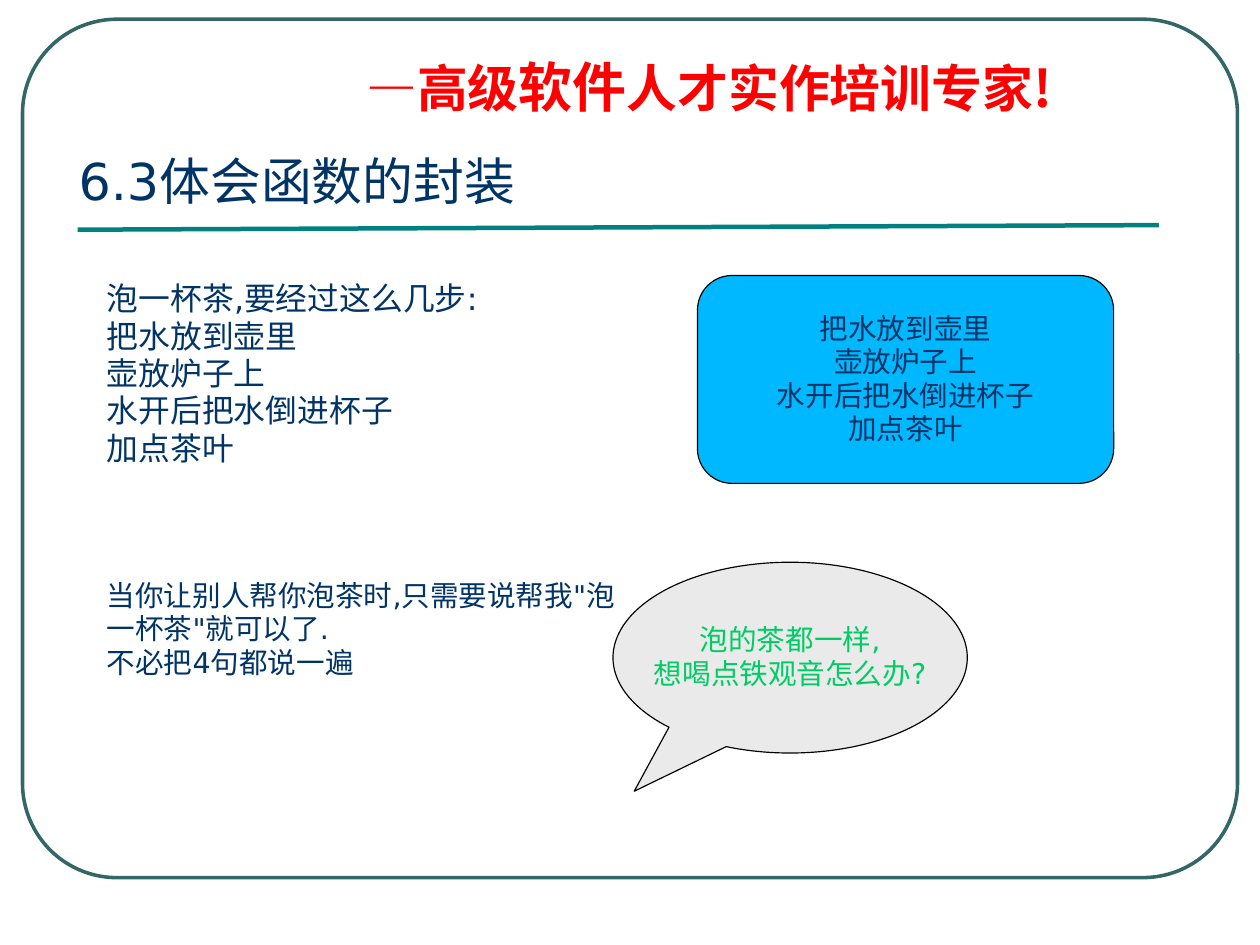
import pptx
import pptx.util
import pptx.dml.color
import pptx.enum.shapes
import pptx.enum.text
import pptx.oxml.ns
from lxml import etree

Pt = pptx.util.Pt
SHAPE = pptx.enum.shapes.MSO_SHAPE
ALIGN = pptx.enum.text.PP_ALIGN
ANCHOR = pptx.enum.text.MSO_ANCHOR
qn = pptx.oxml.ns.qn

COLORS = {
    "frame": "336666", "rule": "008080", "slogan": "FF0000", "text": "003366",
    "steps": "00B8FF", "bubble": "EAEAEA", "question": "00CC66", "outline": "000000",
}
LATIN, CHINESE = "DejaVu Sans", "Noto Sans CJK SC"
STEPS = ["把水放到壶里", "壶放炉子上", "水开后把水倒进杯子", "加点茶叶"]


def color(name):
    return pptx.dml.color.RGBColor.from_string(COLORS[name])


def write(shape, paragraphs, size, ink="text", font=LATIN, bold=False, spacing=0.98,
          align=ALIGN.LEFT, anchor=ANCHOR.TOP, wrap=True):
    """Fill a shape; a paragraph is a string or a list of (text, size) pairs."""
    frame = shape.text_frame
    frame.word_wrap = wrap
    frame.vertical_anchor = anchor
    for index, content in enumerate(paragraphs):
        para = frame.paragraphs[0] if index == 0 else frame.add_paragraph()
        para.alignment = align
        para.line_spacing = spacing
        spans = [(content, size)] if isinstance(content, str) else content
        for text, points in spans:
            span = para.add_run()
            span.text = text
            span.font.color.rgb = color(ink)
            for key, value in {"name": font, "size": Pt(points), "bold": bold}.items():
                setattr(span.font, key, value)
            east_asian = etree.SubElement(span.font._element, qn("a:ea"))
            east_asian.set("typeface", CHINESE)


def add_text(page, box, paragraphs, size, **style):
    write(page.shapes.add_textbox(*map(Pt, box)), paragraphs, size, **style)


def add_outlined(page, kind, box, line, width, fill=None):
    shape = page.shapes.add_shape(kind, *map(Pt, box))
    shape.shadow.inherit = False
    if fill:
        shape.fill.solid()
        shape.fill.fore_color.rgb = color(fill)
    else:
        shape.fill.background()
    shape.line.color.rgb = color(line)
    shape.line.width = Pt(width)
    return shape


def add_frame(page, box):
    """Rounded page border with the slogan near its top."""
    left, top, width, height = box
    border = add_outlined(page, SHAPE.ROUNDED_RECTANGLE, box, "frame", 2.25)
    border.adjustments[0] = 0.11
    slogan = [("—高级", 32), ("软件", 34), ("人才实作培训专家!", 32)]
    add_text(page, (left + 209.5, top + 22.5, 496, 44), [slogan], 32,
             ink="slogan", font=CHINESE, bold=True, spacing=0.9)


def add_heading(page, box):
    """Section title with the slightly rising rule below it."""
    left, top, width, height = box
    add_text(page, box, ["6.3体会函数的封装"], 32, anchor=ANCHOR.MIDDLE)
    ends = (left + 6.5, top + 56.2, left + 687.6, top + 53.3)
    rule = page.shapes.add_connector(pptx.enum.shapes.MSO_CONNECTOR.STRAIGHT, *map(Pt, ends))
    rule.line.color.rgb = color("rule")
    rule.line.width = Pt(2.83)
    etree.SubElement(rule._element.spPr, qn("a:effectLst"))


def add_tea_steps(page, box):
    """The steps as plain text, and again enclosed in a block at the right."""
    left, top, width, height = box
    add_text(page, (left, top, 273, 125), ["泡一杯茶,要经过这么几步:"] + STEPS, 20)
    block_width = 262.2
    block = add_outlined(page, SHAPE.FLOWCHART_ALTERNATE_PROCESS,
                         (left + width - block_width, top, block_width, height),
                         "outline", 0.75, "steps")
    write(block, STEPS, 18, align=ALIGN.CENTER, anchor=ANCHOR.MIDDLE, wrap=False)


def add_tea_request(page, box):
    """The short request, and the question it raises in a speech bubble."""
    left, top, width, height = box
    request = ["当你让别人帮你泡茶时,只需要说帮我\"泡一杯茶\"就可以了.", "不必把4句都说一遍"]
    add_text(page, (left, top + 7.2, 342, 71), request, 18)
    bubble_width = 223.2
    bubble = add_outlined(page, SHAPE.OVAL_CALLOUT,
                          (left + width - bubble_width, top, bubble_width, height),
                          "outline", 0.75, "bubble")
    bubble.adjustments[0] = -0.44
    bubble.adjustments[1] = 0.7
    write(bubble, ["泡的茶都一样,", "想喝点铁观音怎么办?"], 18, ink="question",
          align=ALIGN.CENTER, anchor=ANCHOR.MIDDLE, wrap=False)


def main():
    deck = pptx.Presentation()
    deck.slide_width, deck.slide_height = Pt(793.75), Pt(595.25)
    page = deck.slides.add_slide(deck.slide_layouts[6])
    add_frame(page, (14.2, 12.1, 765.4, 540.7))
    add_heading(page, (42.4, 88.5, 560, 53.3))
    add_tea_steps(page, (60.2, 173.5, 641.4, 131))
    add_tea_request(page, (60.2, 354.2, 549.2, 120.2))
    deck.save("out.pptx")


if __name__ == "__main__":
    main()
